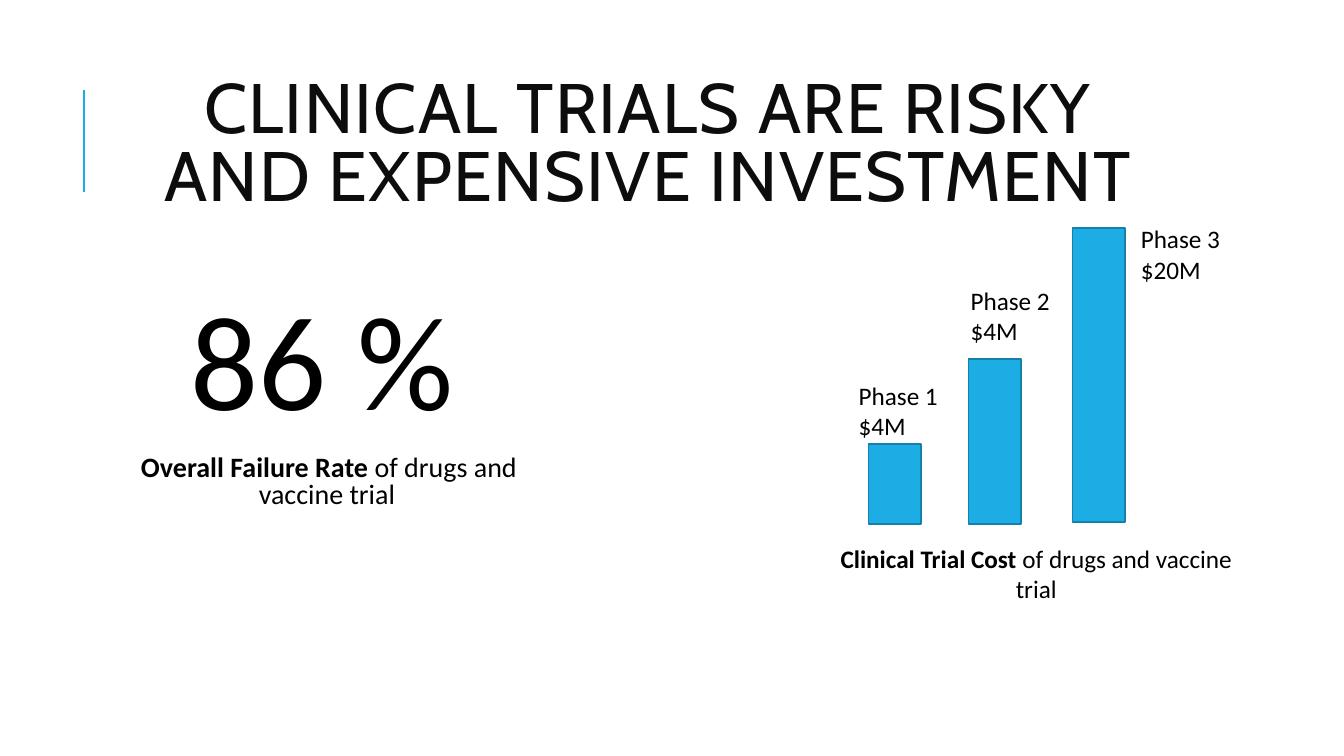
from dataclasses import dataclass

from lxml import etree
from pptx import Presentation
from pptx.dml.color import RGBColor
from pptx.enum.shapes import MSO_CONNECTOR, MSO_SHAPE
from pptx.enum.text import MSO_ANCHOR, MSO_AUTO_SIZE, PP_ALIGN
from pptx.oxml.ns import qn
from pptx.util import Cm, Pt

RECT = MSO_SHAPE.RECTANGLE
LINE = MSO_CONNECTOR.STRAIGHT
MIDDLE = MSO_ANCHOR.MIDDLE
CENTER = PP_ALIGN.CENTER
GROW = MSO_AUTO_SIZE.SHAPE_TO_FIT_TEXT
NO_FIT = MSO_AUTO_SIZE.NONE

BLUE, EDGE, BLACK, INK = "1CADE4", "1580A9", "000000", "0D0D0D"
BAR_WIDTH = 1.32


@dataclass
class Phase:
    name: str
    cost: str
    left: float
    top: float
    height: float
    label_left: float
    label_top: float


PHASES = [
    Phase("Phase 1", "$4M", 21.89, 11.18, 2.03, 21.39, 9.45),
    Phase("Phase 2", "$4M", 24.41, 9.04, 4.17, 24.21, 7.06),
    Phase("Phase 3", "$20M", 27.03, 5.74, 7.42, 28.5, 5.51),
]


def color(code: str) -> RGBColor:
    return RGBColor.from_string(code)


def box(left: float, top: float, width: float, height: float) -> tuple:
    return Cm(left), Cm(top), Cm(width), Cm(height)


def add_run(para, text: str, size: float, bold: bool = False,
            face: str = "Calibri", ink: str = BLACK):
    run = para.add_run()
    run.text = text
    font = run.font
    font.name, font.size, font.bold = face, Pt(size), bold
    font.color.rgb = color(ink)
    return run


def add_text(shapes, place: tuple, wrap: bool):
    frame = shapes.add_textbox(*place).text_frame
    frame.word_wrap = wrap
    frame.auto_size = GROW
    return frame


def set_tight(para) -> None:
    para.alignment = CENTER
    para.line_spacing = 0.8
    para.space_before, para.space_after = Pt(12), Pt(2)


def set_bullet(para, mark: str, indent: float) -> None:
    props = para._p.get_or_add_pPr()
    props.set("marL", str(Cm(indent)))
    props.set("indent", str(-Cm(indent)))
    tint = etree.SubElement(props, qn("a:buClr"))
    etree.SubElement(tint, qn("a:srgbClr"), val=BLUE)
    etree.SubElement(props, qn("a:buChar"), char=mark)


def add_title(slide) -> None:
    title = slide.shapes.title
    title.left, title.top, title.width, title.height = box(2.84, 1.63, 27, 4.17)
    frame = title.text_frame
    frame.vertical_anchor = MIDDLE
    frame.word_wrap = True
    frame.auto_size = NO_FIT
    para = frame.paragraphs[0]
    para.alignment, para.line_spacing = CENTER, 0.8
    run = add_run(para, "CLINICAL TRIALS ARE RISKY AND EXPENSIVE INVESTMENT",
                  50, face="Cabin", ink=INK)
    run.font._element.set("spc", "100")


def add_accent(slide) -> None:
    line = slide.shapes.add_connector(LINE, Cm(2.12), Cm(4.83), Cm(2.12), Cm(2.28))
    line.line.color.rgb = color(BLUE)
    line.line.width = Pt(1.5)
    etree.SubElement(line._element.spPr, qn("a:effectLst"))


def add_rate(slide) -> None:
    frame = add_text(slide.shapes, box(2.08, 7.62, 12.07, 5.64), True)
    frame.auto_size = NO_FIT
    frame.margin_left = frame.margin_right = Cm(0.13)
    frame.margin_top = frame.margin_bottom = Cm(0.13)
    rate, note = frame.paragraphs[0], frame.add_paragraph()
    for para in (rate, note):
        set_tight(para)
    add_run(rate, "86 %", 96)
    set_bullet(note, " ", 0.25)
    add_run(note, "Overall Failure Rate", 20, True)
    add_run(note, " of drugs and vaccine trial", 20)


def add_phase(slide, phase: Phase) -> None:
    shapes = slide.shapes.add_group_shape().shapes
    bar = shapes.add_shape(RECT, *box(phase.left, phase.top, BAR_WIDTH, phase.height))
    bar.shadow.inherit = False
    bar.fill.solid()
    bar.fill.fore_color.rgb = color(BLUE)
    bar.line.color.rgb = color(EDGE)
    bar.line.width = Pt(1.25)
    frame = add_text(shapes, box(phase.label_left, phase.label_top, 2.54, 1.8), False)
    add_run(frame.paragraphs[0], phase.name, 18)
    add_run(frame.add_paragraph(), phase.cost, 18)


def add_caption(slide) -> None:
    para = add_text(slide.shapes, box(20.45, 13.56, 11.33, 1.8), True).paragraphs[0]
    para.alignment = CENTER
    add_run(para, "Clinical Trial Cost ", 18, True)
    add_run(para, "of drugs and vaccine trial", 18)


def main() -> None:
    deck = Presentation()
    deck.slide_width, deck.slide_height = Cm(33.87), Cm(19.05)
    slide = deck.slides.add_slide(deck.slide_layouts.get_by_name("Title Only"))

    # Heading
    add_accent(slide)
    add_title(slide)

    # Failure rate
    add_rate(slide)

    # Cost per phase
    for phase in PHASES:
        add_phase(slide, phase)
    add_caption(slide)

    deck.save("out.pptx")


if __name__ == "__main__":
    main()
